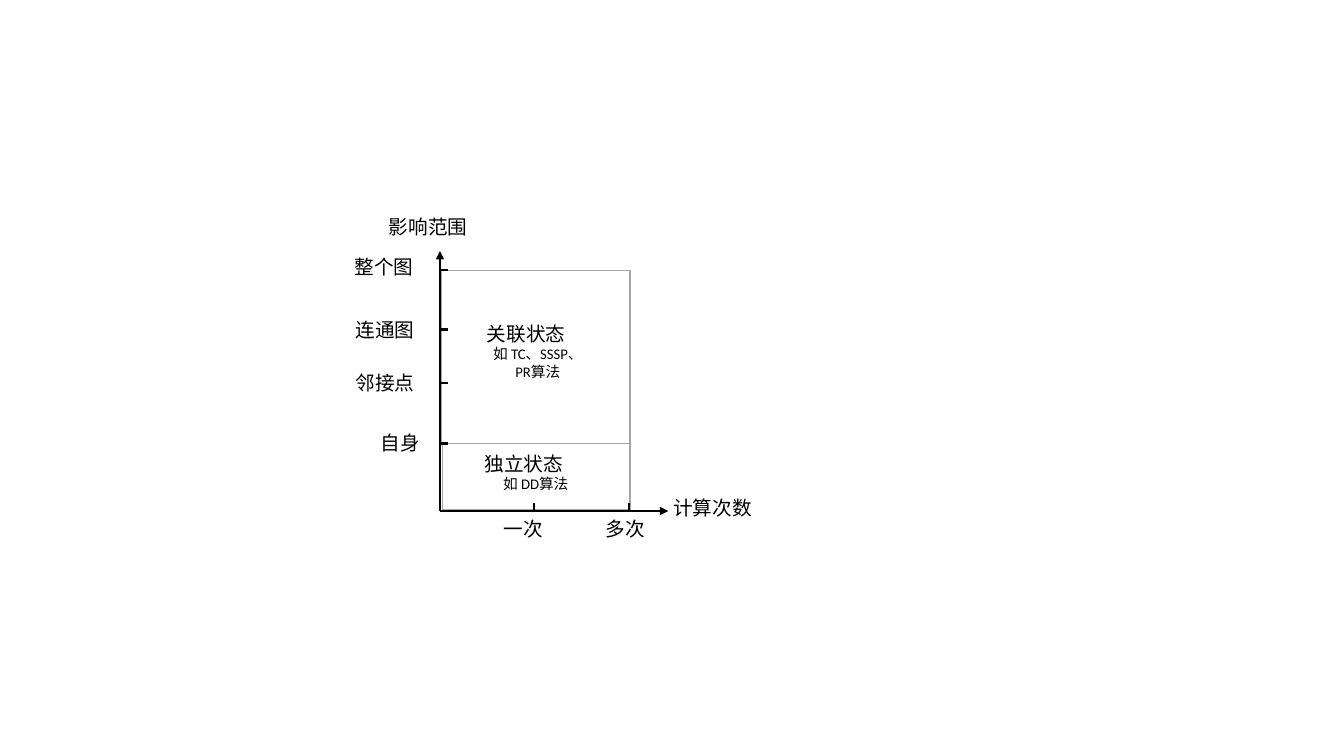
from typing import NamedTuple

from lxml.etree import SubElement
from pptx import Presentation
from pptx.dml.color import RGBColor
from pptx.enum.shapes import MSO_CONNECTOR, MSO_SHAPE
from pptx.enum.text import MSO_AUTO_SIZE, PP_ALIGN
from pptx.oxml.ns import qn
from pptx.slide import Slide
from pptx.util import Pt

BLACK = RGBColor(0x00, 0x00, 0x00)
WHITE = RGBColor(0xFF, 0xFF, 0xFF)
GRAY = RGBColor(0xA5, 0xA5, 0xA5)

FONT = "Calibri"
TITLE_SIZE, EXAMPLE_SIZE = 14, 10.5
LABEL_HEIGHT = 24.5
AXIS_X, AXIS_Y = 314.3, 365
TICK_LENGTH = 6


class Region(NamedTuple):
    left: float
    top: float
    width: float
    height: float


class Label(NamedTuple):
    text: str
    left: float
    top: float
    width: float
    height: float = LABEL_HEIGHT
    example: str = ""


class Segment(NamedTuple):
    x1: float
    y1: float
    x2: float
    y2: float
    arrow: bool = False


REGIONS = [
    Region(315.4, 193, 134.6, 123.8),
    Region(316, 316.8, 134, 47.5),
]

SCOPE_TICKS = [193, 235.4, 273.6, 316.8]
COUNT_TICKS = [381.3, 449]

SEGMENTS = [
    Segment(AXIS_X, AXIS_Y, 477.4, AXIS_Y, arrow=True),
    Segment(AXIS_X, AXIS_Y, AXIS_X, 179.3, arrow=True),
    *(Segment(AXIS_X, y, AXIS_X + TICK_LENGTH, y) for y in SCOPE_TICKS),
    *(Segment(x, AXIS_Y, x, AXIS_Y - TICK_LENGTH) for x in COUNT_TICKS),
]

LABELS = [
    # Axis names
    Label("计算次数", 473.8, 350.6, 101.5),
    Label("影响范围", 270.7, 149.8, 91.4),
    # Tick names
    Label("整个图", 246.2, 178.6, 68.4),
    Label("连通图", 247, 223.2, 68.4),
    Label("邻接点", 247, 261.4, 68.4),
    Label("自身", 265, 304.6, 52.6),
    Label("一次", 352.8, 365.8, 51.8),
    Label("多次", 425.5, 365.4, 51.8),
    # State names with example algorithms
    Label("独立状态", 339.1, 319, 87.1, 36.7, "如 DD算法"),
    Label("关联状态", 340.6, 226.1, 87.1, 49.7, "如 TC、SSSP、PR算法"),
]


def draw_region(slide: Slide, region: Region) -> None:
    shape = slide.shapes.add_shape(MSO_SHAPE.RECTANGLE, *map(Pt, region))
    shape.shadow.inherit = False
    shape.fill.solid()
    shape.fill.fore_color.rgb = WHITE
    shape.line.color.rgb = GRAY
    shape.line.width = Pt(1)


def draw_segment(slide: Slide, segment: Segment) -> None:
    ends = map(Pt, segment[:4])
    connector = slide.shapes.add_connector(MSO_CONNECTOR.STRAIGHT, *ends)
    connector.line.color.rgb = BLACK
    connector.line.width = Pt(1.5)
    if segment.arrow:
        line = connector.line._get_or_add_ln()
        SubElement(line, qn("a:tailEnd"), type="triangle")
    SubElement(connector._element.spPr, qn("a:effectLst"))


def draw_label(slide: Slide, label: Label) -> None:
    box = slide.shapes.add_textbox(*map(Pt, label[1:5]))
    frame = box.text_frame
    frame.word_wrap = True
    frame.auto_size = MSO_AUTO_SIZE.SHAPE_TO_FIT_TEXT
    lines = [(label.text, TITLE_SIZE, PP_ALIGN.LEFT)]
    if label.example:
        lines.append((label.example, EXAMPLE_SIZE, PP_ALIGN.CENTER))
    for index, (text, size, alignment) in enumerate(lines):
        paragraph = frame.add_paragraph() if index else frame.paragraphs[0]
        paragraph.alignment = alignment
        run = paragraph.add_run()
        run.text = text
        for name, value in {"name": FONT, "size": Pt(size)}.items():
            setattr(run.font, name, value)
        run.font.color.rgb = BLACK


presentation = Presentation()
for name, value in {"slide_width": Pt(960), "slide_height": Pt(540)}.items():
    setattr(presentation, name, value)
slide = presentation.slides.add_slide(presentation.slide_layouts[6])

# State regions
for region in REGIONS:
    draw_region(slide, region)

# Axes and ticks
for segment in SEGMENTS:
    draw_segment(slide, segment)

# Axis, tick and state names
for label in LABELS:
    draw_label(slide, label)

presentation.save("out.pptx")
